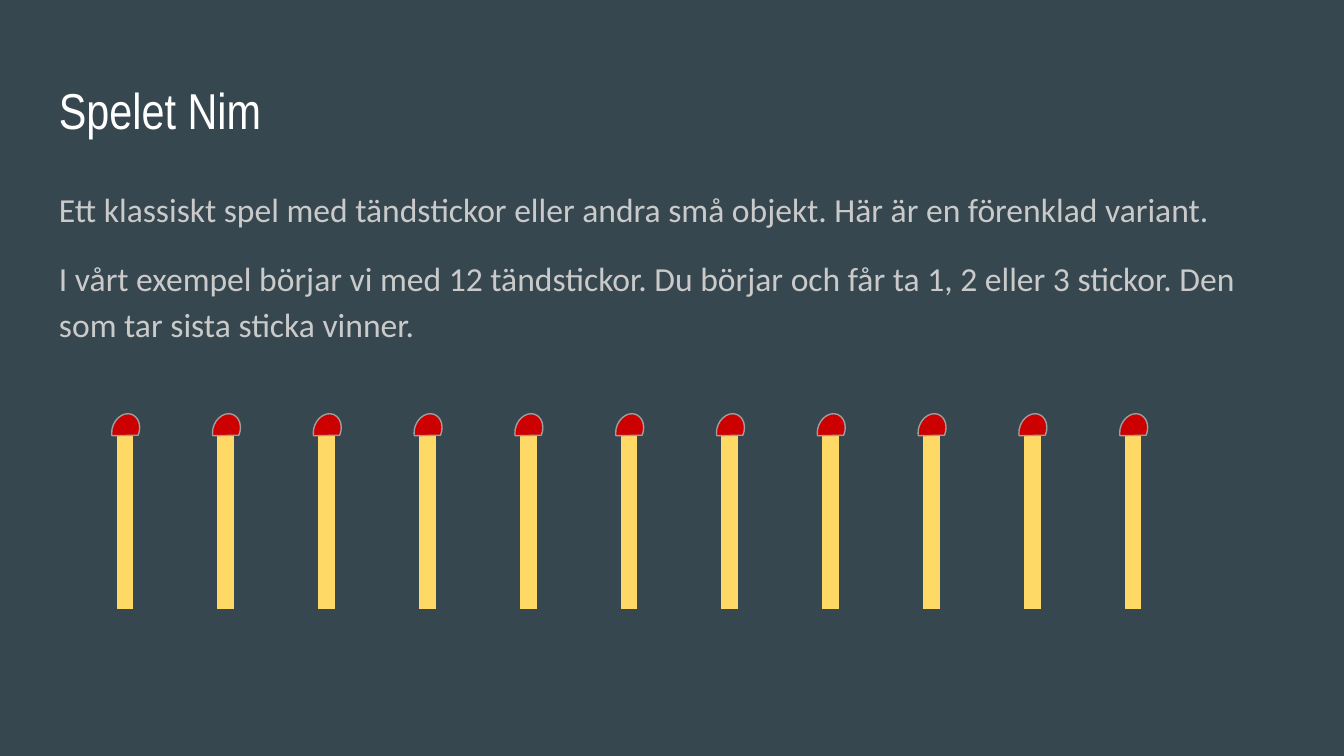
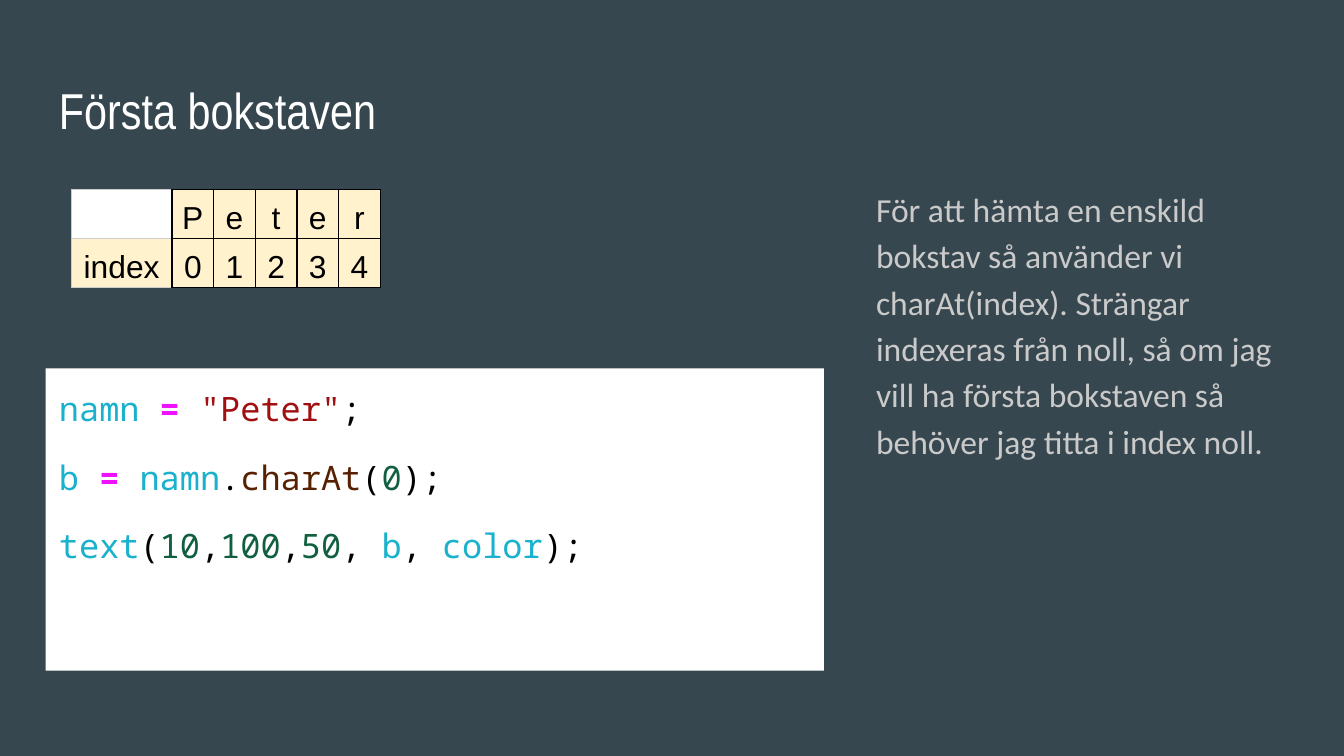
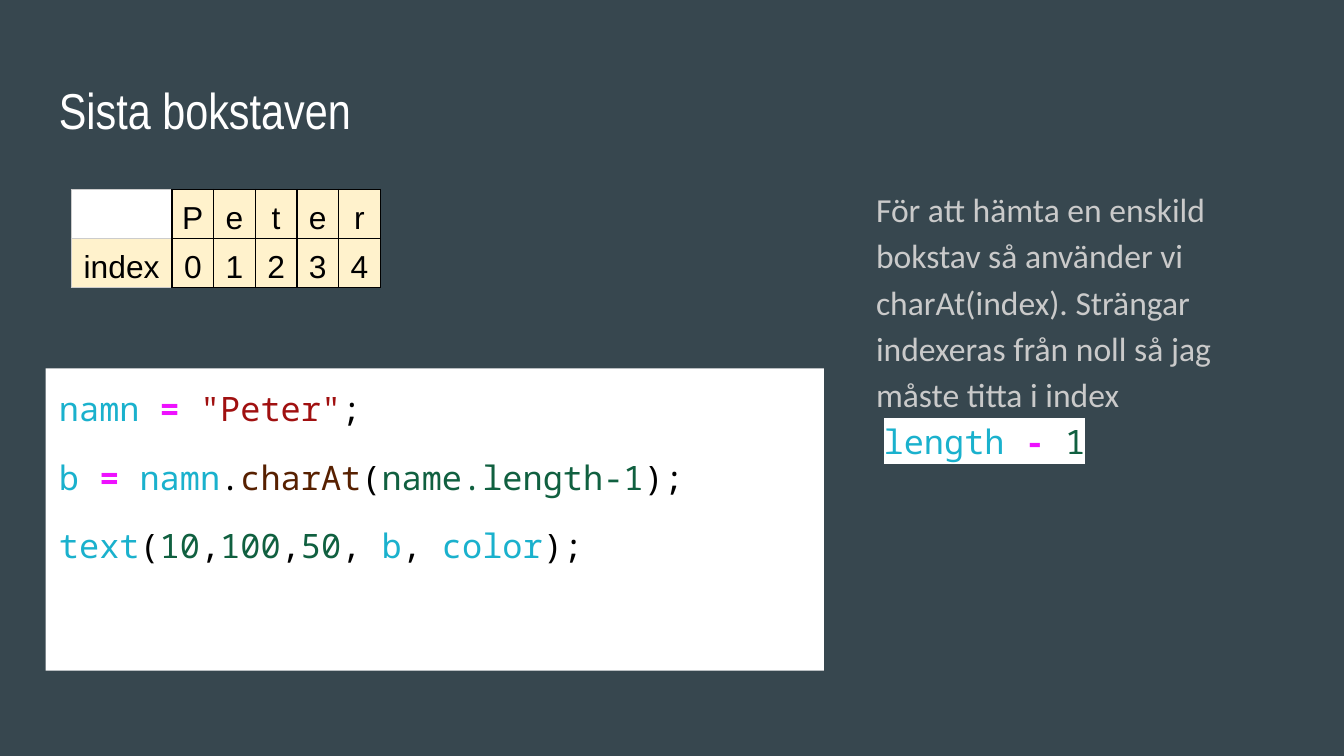
from lxml import etree
from pptx import Presentation
from pptx.dml.color import RGBColor
from pptx.enum import shapes, text
from pptx.oxml import ns
from pptx.util import Inches, Pt

THEME = {
    "background": "37474F",
    "panel": "FFFFFF",
    "stick": "FFD966",
    "match_head": "CC0000",
    "match_outline": "9E9E9E",
    "cell": "FFF2CC",
    "grid": "000000",
    "faint_grid": "CCCCCC",
    "title": {"color": "FFFFFF", "font": {"name": "Arial Narrow", "size": Pt(27)}, "paragraph": {}},
    "body": {
        "color": "CACACA",
        "font": {"name": "Calibri", "size": Pt(18)},
        "paragraph": {"line_spacing": 1.15, "space_after": Pt(12)},
    },
    "code": {
        "color": "000000",
        "font": {"name": "Noto Sans Mono", "size": Pt(18)},
        "paragraph": {"line_spacing": 1.15},
    },
    "table": {
        "color": "000000",
        "font": {"name": "Arial", "size": Pt(17)},
        "paragraph": {"line_spacing": 1.15, "alignment": text.PP_ALIGN.CENTER},
    },
    "tokens": {
        "name": "1AB1CD",
        "operator": "EE11FF",
        "string": "A01010",
        "method": "572000",
        "number": "106040",
        "plain": "000000",
    },
}
MARGINS = {f"margin_{side}": Inches(0.1) for side in ("left", "top", "right", "bottom")}
FRAME = {**MARGINS, "word_wrap": True, "vertical_anchor": text.MSO_ANCHOR.TOP}
CELL = {
    "margin_left": Inches(0.03),
    "margin_right": Inches(0.03),
    "margin_top": Inches(0.02),
    "margin_bottom": Inches(0.02),
    "vertical_anchor": text.MSO_ANCHOR.BOTTOM,
}
TITLE_BOX = (0.34, 0.49, 9.32, 0.63)
WIDE_BODY_BOX = (0.34, 1.26, 9.32, 3.74)
SIDE_BODY_BOX = (6.42, 1.26, 3.24, 3.74)
CODE_BOX = (0.34, 2.74, 5.79, 2.25)


def write_text(frame, paragraphs, style, highlight=None):
    for index, runs in enumerate(paragraphs):
        paragraph = frame.paragraphs[0] if index == 0 else frame.add_paragraph()
        for name, value in style["paragraph"].items():
            setattr(paragraph, name, value)
        if index > 0:
            paragraph.space_before = Pt(12)
        for content, token in runs:
            if content == "\n":
                paragraph.add_line_break()
                continue
            run = paragraph.add_run()
            run.text = content
            run_style = THEME["code"] if token else style
            for name, value in run_style["font"].items():
                setattr(run.font, name, value)
            color = THEME["tokens"][token] if token else style["color"]
            run.font.color.rgb = RGBColor.from_string(color)
            run.font.bold = token == "operator"
            if token and highlight:
                mark = etree.Element(ns.qn("a:highlight"))
                etree.SubElement(mark, ns.qn("a:srgbClr"), val=highlight)
                run.font._element.find(ns.qn("a:solidFill")).addnext(mark)


def add_text_box(slide, box, paragraphs, style, highlight=None):
    shape = slide.shapes.add_textbox(*map(Inches, box))
    for name, value in FRAME.items():
        setattr(shape.text_frame, name, value)
    write_text(shape.text_frame, paragraphs, style, highlight)
    return shape


presentation = Presentation()
presentation.slide_width = Inches(10)
presentation.slide_height = Inches(10 * 9 / 16)
blank_layout = presentation.slide_layouts[6]
master_fill = presentation.slide_master.background.fill
master_fill.solid()
master_fill.fore_color.rgb = RGBColor.from_string(THEME["background"])

slide = presentation.slides.add_slide(blank_layout)
add_text_box(slide, TITLE_BOX, [[("Spelet Nim", None)]], THEME["title"])
rules = [
    "Ett klassiskt spel med tändstickor eller andra små objekt. Här är en förenklad variant.",
    "I vårt exempel börjar vi med 12 tändstickor. Du börjar och får ta 1, 2 eller 3 stickor. "
    "Den som tar sista sticka vinner.",
]
rules_box = add_text_box(slide, WIDE_BODY_BOX, [[(rule, None)] for rule in rules], THEME["body"])
rules_box.text_frame.paragraphs[0].space_after = Pt(0)

for match_index in range(11):
    offset = 0.75 * match_index
    match = slide.shapes.add_group_shape()
    stick_x = Inches(0.93 + offset)
    stick = match.shapes.add_connector(
        shapes.MSO_CONNECTOR.STRAIGHT, stick_x, Inches(4.53), stick_x, Inches(3.21)
    )
    stick.line.color.rgb = RGBColor.from_string(THEME["stick"])
    stick.line.width = Pt(9)
    etree.SubElement(stick._element.spPr, ns.qn("a:effectLst"))
    head = match.shapes.add_shape(
        shapes.MSO_SHAPE.CHORD, Inches(0.81 + offset), Inches(3.1), Inches(0.25), Inches(0.2)
    )
    for index, degrees in enumerate((45, 270)):
        head.adjustments[index] = degrees * 0.6
    head.rotation = 112.5
    head.shadow.inherit = False
    head.fill.solid()
    head.fill.fore_color.rgb = RGBColor.from_string(THEME["match_head"])
    head.line.color.rgb = RGBColor.from_string(THEME["match_outline"])
    head.line.width = Pt(0.75)

lessons = [
    {
        "title": "Första bokstaven",
        "index": "0",
        "body": [
            (
                "För att hämta en enskild bokstav så använder vi charAt(index). Strängar indexeras "
                "från noll, så om jag vill ha första bokstaven så behöver jag titta i index noll.",
                None,
            )
        ],
    },
    {
        "title": "Sista bokstaven",
        "index": "name.length-1",
        "body": [
            (
                "För att hämta en enskild bokstav så använder vi charAt(index). Strängar indexeras "
                "från noll så jag måste titta i index",
                None,
            ),
            ("\n", None),
            (" ", None),
            ("length", "name"),
            (" ", "plain"),
            ("-", "operator"),
            (" ", "plain"),
            ("1", "number"),
        ],
    },
]
letter_rows = [["", *"Peter"], ["index", *"01234"]]

for lesson in lessons:
    slide = presentation.slides.add_slide(blank_layout)
    add_text_box(slide, TITLE_BOX, [[(lesson["title"], None)]], THEME["title"])
    add_text_box(slide, SIDE_BODY_BOX, [lesson["body"]], THEME["body"], THEME["panel"])

    code_lines = [
        [("namn ", "name"), ("= ", "operator"), ('"Peter"', "string"), (";", "plain")],
        [
            ("b ", "name"), ("= ", "operator"), ("namn", "name"), (".", "plain"),
            ("charAt", "method"), ("(", "plain"), (lesson["index"], "number"), (");", "plain"),
        ],
        [
            ("text", "name"), ("(", "plain"), ("10", "number"), (",", "plain"),
            ("100", "number"), (",", "plain"), ("50", "number"), (", ", "plain"),
            ("b", "name"), (", ", "plain"), ("color", "name"), (");", "plain"),
        ],
    ]
    code_panel = add_text_box(slide, CODE_BOX, code_lines, THEME["code"])
    code_panel.fill.solid()
    code_panel.fill.fore_color.rgb = RGBColor.from_string(THEME["panel"])

    table_frame = slide.shapes.add_table(
        2, 6, Inches(0.53), Inches(1.41), Inches(2.3), Inches(0.66)
    )
    table = table_frame.table
    table.first_row = False
    table.horz_banding = False
    for column_index, column in enumerate(table.columns):
        column.width = Inches(0.31 if column_index else 0.75)
    for row_index, labels in enumerate(letter_rows):
        table.rows[row_index].height = Inches(0.33)
        for column_index, label in enumerate(labels):
            cell = table.cell(row_index, column_index)
            for name, value in CELL.items():
                setattr(cell, name, value)
            cell.fill.solid()
            cell.fill.fore_color.rgb = RGBColor.from_string(THEME["cell" if label else "panel"])
            write_text(cell.text_frame, [[(label, None)]], THEME["table"])
            properties = cell._tc.get_or_add_tcPr()
            for position, side in enumerate("LRTB"):
                faint = column_index == 0 and side != "R"
                border = etree.Element(ns.qn(f"a:ln{side}"), w=str(Pt(0.75)))
                border_fill = etree.SubElement(border, ns.qn("a:solidFill"))
                border_color = THEME["faint_grid" if faint else "grid"]
                etree.SubElement(border_fill, ns.qn("a:srgbClr"), val=border_color)
                properties.insert(position, border)

presentation.save("out.pptx")
